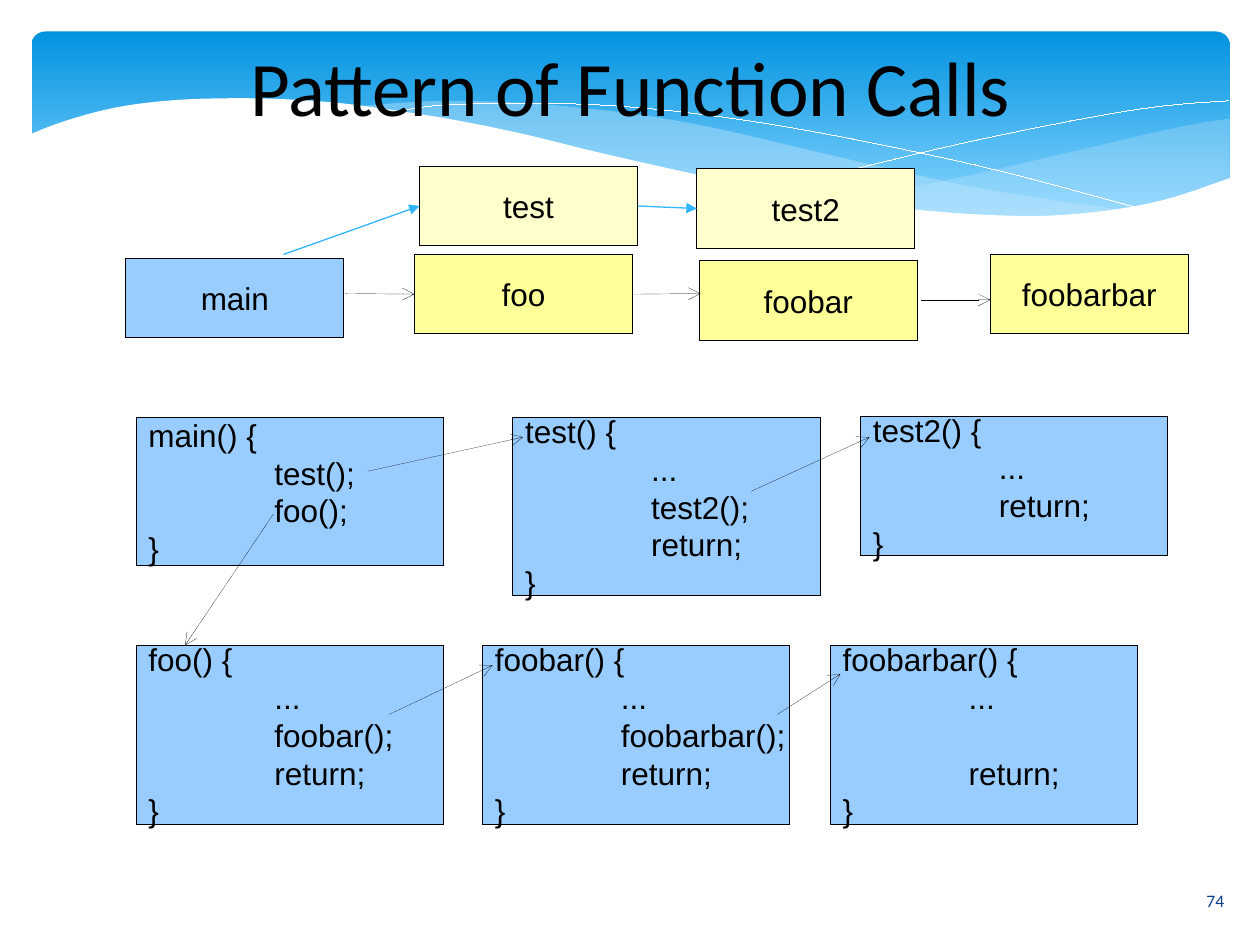
from lxml import etree
from pptx import Presentation
from pptx.dml.color import RGBColor
from pptx.enum.shapes import MSO_CONNECTOR, MSO_SHAPE
from pptx.enum.text import MSO_ANCHOR, PP_ALIGN
from pptx.oxml.ns import qn
from pptx.util import Inches, Pt

RECTANGLE, ROUNDED = MSO_SHAPE.RECTANGLE, MSO_SHAPE.ROUNDED_RECTANGLE
STRAIGHT = MSO_CONNECTOR.STRAIGHT
MIDDLE = MSO_ANCHOR.MIDDLE
CENTER, LEFT = PP_ALIGN.CENTER, PP_ALIGN.LEFT
LEFT_SIDE, RIGHT_SIDE = 1, 3
TITLE_ONLY = 5

BLACK = RGBColor(0x00, 0x00, 0x00)
WHITE = RGBColor(0xFF, 0xFF, 0xFF)
SKY_TOP = RGBColor(0x02, 0x93, 0xE0)
SKY_BOTTOM = RGBColor(0x83, 0xD3, 0xFE)
MIST = RGBColor(0xC6, 0xE7, 0xFC)
BLUE_BOX = RGBColor(0x99, 0xCC, 0xFF)
YELLOW_BOX = RGBColor(0xFF, 0xFF, 0x99)
CREAM_BOX = RGBColor(0xFF, 0xFF, 0xCC)
CALL_BLUE = RGBColor(0x31, 0xB6, 0xFD)
NUMBER_BLUE = RGBColor(0x07, 0x3E, 0x87)

HAIRLINE = Pt(0.01)
CODE_INDENT = Inches(1)
BLANK_LINE = Pt(21.6)
BOX_FONT = {"name": "Arial", "size": Pt(18)}
TITLE_FONT = {"name": "Calibri", "size": Pt(44)}
NUMBER_FONT = {"name": "Calibri", "size": Pt(10)}

# Banner curves, as knots in inches
MIST_RIGHT = [(9.76, 0.94), (9.35, 1.01), (8.61, 1.18), (7.79, 1.37), (7.06, 1.52),
              (6.61, 1.6), (7.05, 1.65), (7.57, 1.7), (8.03, 1.72), (8.54, 1.7),
              (8.97, 1.65), (9.35, 1.56), (9.76, 1.41)]
MIST_MIDDLE = [(8.93, 1.67), (8.37, 1.59), (7.75, 1.49), (7.06, 1.34), (6.29, 1.16),
               (5.69, 1.02), (5.14, 0.92), (4.65, 0.86), (4.2, 0.82), (3.61, 0.8),
               (3.13, 0.82), (2.86, 0.86), (3.42, 0.94), (4.04, 1.06), (4.91, 1.26),
               (5.66, 1.43), (6.34, 1.56), (6.95, 1.65), (7.48, 1.7), (8.07, 1.73),
               (8.57, 1.71), (8.93, 1.67)]
LONG_ARC = [(3.09, 0.9), (3.44, 0.84), (4.01, 0.82), (4.69, 0.83), (5.33, 0.88),
            (6.08, 0.98), (6.95, 1.14), (7.95, 1.36), (9.07, 1.66)]
RISING_ARC = [(6.13, 1.51), (6.95, 1.3), (7.76, 1.11), (8.66, 0.93), (9.24, 0.84),
              (9.75, 0.8)]
WAVE = [(9.77, 1.41), (9.3, 1.57), (8.87, 1.66), (8.37, 1.71), (7.93, 1.71),
        (7.44, 1.68), (6.88, 1.62), (6.26, 1.53), (5.55, 1.39), (4.75, 1.21),
        (4.18, 1.07), (3.65, 0.96), (3.16, 0.88), (2.71, 0.82), (2.3, 0.79),
        (1.93, 0.78), (1.46, 0.79), (1.06, 0.83), (0.76, 0.89), (0.46, 0.98),
        (0.23, 1.07)]
WAVE_FLOOR = [(0.23, 2.24), (9.77, 2.24)]

# Call chart: name, left, top, width, fill
CALL_BOXES = [
    ("main", 1, 2.05, 1.73, BLUE_BOX),
    ("test", 3.33, 1.32, 1.73, CREAM_BOX),
    ("test2", 5.53, 1.34, 1.73, CREAM_BOX),
    ("foo", 3.29, 2.02, 1.73, YELLOW_BOX),
    ("foobar", 5.55, 2.07, 1.73, YELLOW_BOX),
    ("foobarbar", 7.86, 2.02, 1.57, YELLOW_BOX),
]
# Code boxes: function, body lines (None is a gap), left, top, height
CODE_BOXES = [
    ("main", ["test();", "foo();"], 1.08, 3.31, 1.18),
    ("test", ["...", "test2();", "return;"], 4.07, 3.31, 1.42),
    ("test2", ["...", "return;"], 6.83, 3.31, 1.1),
    ("foo", ["...", "foobar();", "return;"], 1.08, 5.12, 1.42),
    ("foobar", ["...", "foobarbar();", "return;"], 3.83, 5.12, 1.42),
    ("foobarbar", ["...", None, "return;"], 6.59, 5.12, 1.42),
]
CODE_CALLS = [
    ((2.92, 3.74), (4.15, 3.47)), ((5.96, 3.9), (6.9, 3.47)),
    ((2.17, 4.08), (1.47, 5.12)), ((3.09, 5.67), (3.91, 5.28)),
    ((6.17, 5.67), (6.67, 5.35)),
]


def format_text(paragraph, font, color=BLACK, align=CENTER):
    paragraph.alignment = align
    for key, value in font.items():
        setattr(paragraph.font, key, value)
    paragraph.font.color.rgb = color


def smooth(knots, steps=5):
    """Catmull-Rom curve through the knots."""
    padded = [knots[0], *knots, knots[-1]]
    curve = [knots[0]]
    for a, b, c, d in zip(padded, padded[1:], padded[2:], padded[3:]):
        for step in range(1, steps + 1):
            t = step / steps
            curve.append(tuple(
                q + t / 2 * (r - p + t * (2 * p - 5 * q + 4 * r - s
                                          + t * (3 * (q - r) + s - p)))
                for p, q, r, s in zip(a, b, c, d)))
    return curve


def add_curve(slide, points, fill=None, opacity=100):
    """Filled area, or a white hairline when there is no fill."""
    points = [(Inches(x), Inches(y)) for x, y in points]
    builder = slide.shapes.build_freeform(*points[0], scale=1.0)
    builder.add_line_segments(points[1:], close=fill is not None)
    curve = builder.convert_to_shape()
    curve.shadow.inherit = False
    if fill is None:
        curve.fill.background()
        curve.line.color.rgb = WHITE
        curve.line.width = HAIRLINE
        return
    curve.fill.solid()
    curve.fill.fore_color.rgb = fill
    curve.line.fill.background()
    if opacity < 100:
        tint = curve.fill._xPr.find(".//" + qn("a:srgbClr"))
        etree.SubElement(tint, qn("a:alpha"), val=str(opacity * 1000))


def add_banner(slide, left, top, width, height):
    sky = slide.shapes.add_shape(ROUNDED, left, top, width, height)
    sky.adjustments[0] = 0.07
    sky.shadow.inherit = False
    sky.line.fill.background()
    sky.fill.gradient()
    sky.fill.gradient_angle = 270
    for stop, color, position in zip(sky.fill.gradient_stops,
                                     (SKY_TOP, SKY_BOTTOM), (0, 0.9)):
        stop.color.rgb = color
        stop.position = position
    add_curve(slide, smooth(MIST_RIGHT), MIST, 29)
    add_curve(slide, smooth(MIST_MIDDLE), MIST, 40)
    add_curve(slide, smooth(LONG_ARC))
    add_curve(slide, smooth(RISING_ARC))
    add_curve(slide, smooth(WAVE) + WAVE_FLOOR, WHITE)


def add_title(slide, text, left, top, width, height):
    title = slide.shapes.title
    title.element.getparent().append(title.element)  # in front of the banner
    title.left, title.top, title.width, title.height = left, top, width, height
    frame = title.text_frame
    frame.text = text
    frame.vertical_anchor = MIDDLE
    frame.margin_left = frame.margin_right = frame.margin_top = frame.margin_bottom = 0
    format_text(frame.paragraphs[0], TITLE_FONT)


def add_box(slide, left, top, width, height, fill):
    box = slide.shapes.add_shape(RECTANGLE, left, top, width, height)
    box.shadow.inherit = False
    box.fill.solid()
    box.fill.fore_color.rgb = fill
    box.line.color.rgb = BLACK
    box.line.width = HAIRLINE
    box.text_frame.vertical_anchor = MIDDLE
    return box


def add_call_box(slide, name, left, top, width, height, fill):
    box = add_box(slide, left, top, width, height, fill)
    box.text_frame.word_wrap = False
    box.text_frame.text = name
    format_text(box.text_frame.paragraphs[0], BOX_FONT)
    return box


def add_code_box(slide, name, body, left, top, width, height):
    frame = add_box(slide, left, top, width, height, BLUE_BOX).text_frame
    frame.word_wrap = True
    frame.margin_right = 0
    lines = [name + "() {", *("\t" + line for line in body if line), "}"]
    frame.text = "\n".join(lines)
    for paragraph in frame.paragraphs:
        tabs = etree.SubElement(paragraph._p.get_or_add_pPr(), qn("a:tabLst"))
        etree.SubElement(tabs, qn("a:tab"), pos=str(CODE_INDENT), algn="l")
        format_text(paragraph, BOX_FONT, align=LEFT)
    if None in body:
        frame.paragraphs[body.index(None) + 1].space_before = BLANK_LINE


def add_arrow(slide, start, end, color=BLACK, width=HAIRLINE, head="arrow"):
    arrow = slide.shapes.add_connector(STRAIGHT, *map(Inches, start + end))
    arrow.line.color.rgb = color
    arrow.line.width = width
    etree.SubElement(arrow.line._get_or_add_ln(), qn("a:tailEnd"), type=head)
    etree.SubElement(arrow.element.spPr, qn("a:effectLst"))
    return arrow


def add_call_chart(slide):
    boxes = {name: add_call_box(slide, name, *map(Inches, (left, top, width, 0.63)), fill)
             for name, left, top, width, fill in CALL_BOXES}
    blue = {"color": CALL_BLUE, "width": Pt(0.75), "head": "triangle"}
    main_test = add_arrow(slide, (2.25, 2.02), (3.33, 1.63), **blue)
    main_test.end_connect(boxes["test"], LEFT_SIDE)
    test_test2 = add_arrow(slide, (5.06, 1.63), (5.53, 1.65), **blue)
    test_test2.begin_connect(boxes["test"], RIGHT_SIDE)
    test_test2.end_connect(boxes["test2"], LEFT_SIDE)
    main_foo = add_arrow(slide, (2.74, 2.33), (3.29, 2.33))
    main_foo.end_connect(boxes["foo"], LEFT_SIDE)
    foo_foobar = add_arrow(slide, (5.01, 2.33), (5.56, 2.33))
    foo_foobar.begin_connect(boxes["foo"], RIGHT_SIDE)
    add_arrow(slide, (7.31, 2.38), (7.86, 2.38))


def add_code_listing(slide):
    for name, body, left, top, height in CODE_BOXES:
        add_code_box(slide, name, body, *map(Inches, (left, top, 2.44, height)))
    for start, end in CODE_CALLS:
        add_arrow(slide, start, end)


def add_page_number(slide, number, left, top, width, height):
    frame = slide.shapes.add_textbox(left, top, width, height).text_frame
    frame.word_wrap = True
    frame.vertical_anchor = MIDDLE
    frame.text = number
    format_text(frame.paragraphs[0], NUMBER_FONT, NUMBER_BLUE)


def main():
    deck = Presentation()
    deck.slide_width, deck.slide_height = Inches(10), Inches(7.5)
    slide = deck.slides.add_slide(deck.slide_layouts[TITLE_ONLY])
    add_banner(slide, *map(Inches, (0.25, 0.25, 9.51, 1.56)))
    add_title(slide, "Pattern of Function Calls", *map(Inches, (0.25, 0.17, 9.51, 1.02)))
    add_call_chart(slide)
    add_code_listing(slide)
    add_page_number(slide, "74", *map(Inches, (9.34, 6.95, 0.61, 0.4)))
    deck.save("out.pptx")


if __name__ == "__main__":
    main()
